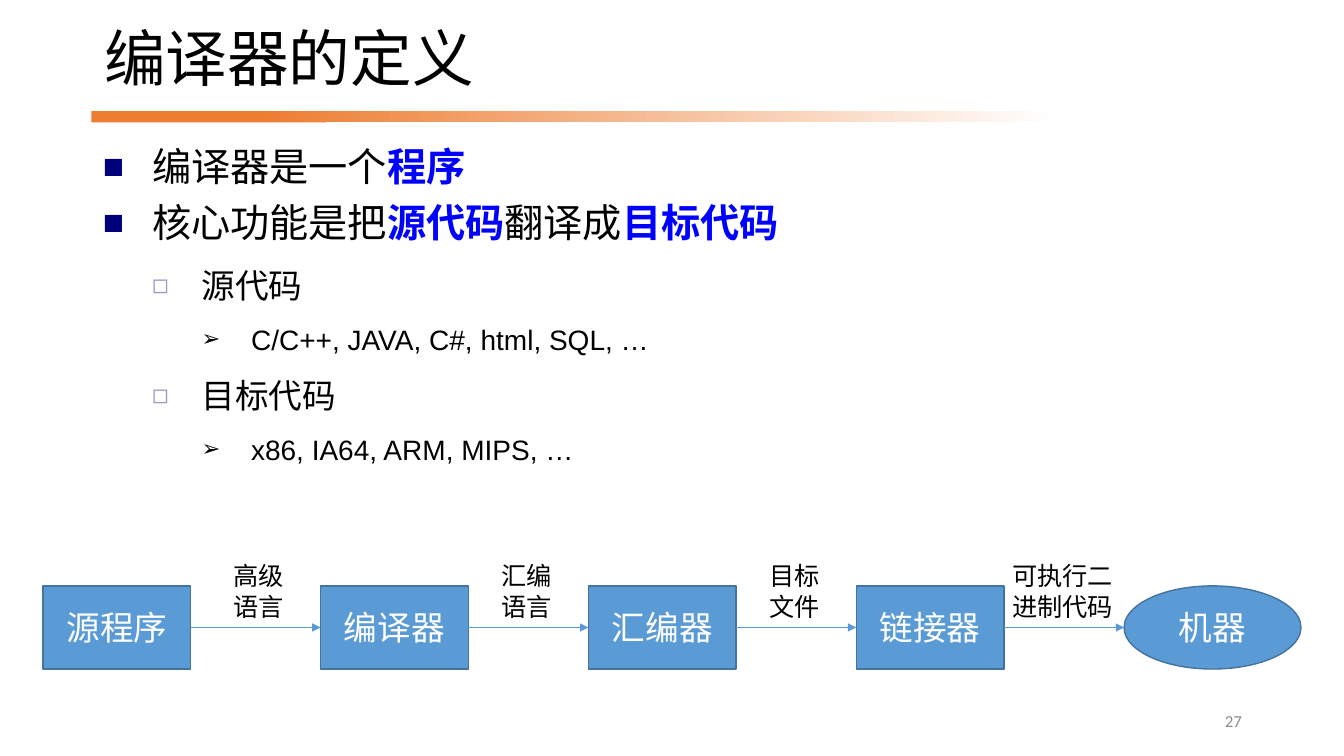
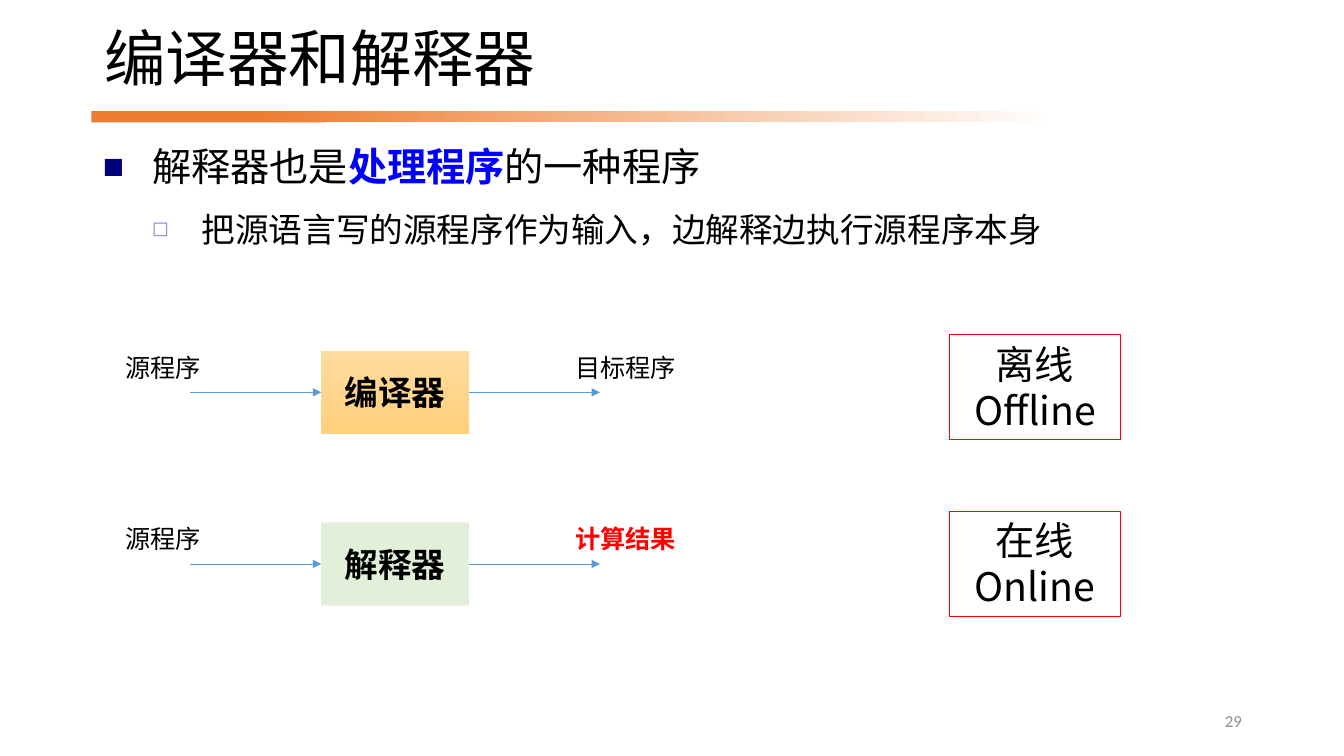
from dataclasses import dataclass

from lxml import etree
from pptx import Presentation
from pptx.dml.color import RGBColor
from pptx.enum.lang import MSO_LANGUAGE_ID
from pptx.enum.shapes import MSO_CONNECTOR, MSO_SHAPE
from pptx.enum.text import MSO_ANCHOR, MSO_AUTO_SIZE, PP_ALIGN
from pptx.oxml.ns import qn
from pptx.util import Inches, Pt

RECT, OVAL = MSO_SHAPE.RECTANGLE, MSO_SHAPE.OVAL
STRAIGHT = MSO_CONNECTOR.STRAIGHT
LEFT, MID, RIGHT = PP_ALIGN.LEFT, PP_ALIGN.CENTER, PP_ALIGN.RIGHT
TOP, CENTRE = MSO_ANCHOR.TOP, MSO_ANCHOR.MIDDLE
FIXED = MSO_AUTO_SIZE.NONE
CHINESE = MSO_LANGUAGE_ID.SIMPLIFIED_CHINESE
WIDE, HIGH = Inches(13.33), Inches(7.5)


@dataclass(frozen=True)
class Theme:
    ink: str = "000000"
    paper: str = "FFFFFF"
    accent: str = "ED7D31"
    strong: str = "0000FF"
    alert: str = "FF0000"
    muted: str = "8C8C8C"
    node: str = "5B9BD5"
    edge: str = "43739E"
    amber: tuple = ("FFDB9E", "FFD07C")
    green: str = "E2F0D9"
    head: int = 44
    large: int = 28
    text: int = 24
    label: int = 18
    small: int = 12
    main: str = "Arial"
    plain: str = "Calibri"
    hans: str = "Noto Sans CJK SC"


@dataclass(frozen=True)
class Level:
    size: int
    line: float
    before: int
    mark: str
    share: int
    color: str


@dataclass(frozen=True)
class Box:
    x: float
    y: float
    w: float
    h: float

    def inner(self, x, y, w, h):
        return Box(self.x + x, self.y + y, w, h)

    def frame(self):
        return (int(WIDE * self.x / 100), int(HIGH * self.y / 100),
                int(WIDE * self.w / 100), int(HIGH * self.h / 100))


T = Theme()
LEVELS = (
    Level(T.large, 0.9, 10, "■", 90, "00007D"),
    Level(T.text, 1.3, 5, "◻", 80, "9999CC"),
    Level(20, 1.3, 5, "➢", 80, T.ink),
)
STEP = Inches(0.49)


def rgb(code):
    return RGBColor.from_string(code)


def style(font, size, name, color, bold=False):
    font.size, font.name, font.bold = Pt(size), name, bold
    font.color.rgb = rgb(color)
    font.language_id = CHINESE


def write(shape, text, size, name, color, align=LEFT, anchor=TOP, bold=False, line=None):
    frame = shape.text_frame
    frame.word_wrap, frame.auto_size = True, FIXED
    frame.vertical_anchor = anchor
    frame.text = text
    for para in frame.paragraphs:
        para.alignment = align
        para.line_spacing = line
        style(para.font, size, name, color, bold)


def note(slide, box, text, size, name, color, **kind):
    write(slide.shapes.add_textbox(*box.frame()), text, size, name, color, **kind)


def block(slide, box, fill, edge=None, width=1, form=RECT):
    shape = slide.shapes.add_shape(form, *box.frame())
    shape.shadow.inherit = False
    paint(shape.fill, fill)
    if edge:
        shape.line.color.rgb = rgb(edge)
        shape.line.width = Pt(width)
    else:
        shape.line.fill.background()
    return shape


def paint(fill, color, angle=270):
    if isinstance(color, str):
        fill.solid()
        fill.fore_color.rgb = rgb(color)
        return
    fill.gradient()
    fill.gradient_angle = angle
    for stop, code in zip(fill.gradient_stops, color):
        stop.color.rgb = rgb(code)


def arrow(slide, box):
    x, y, w, _ = box.frame()
    link = slide.shapes.add_connector(STRAIGHT, x, y, x + w, y)
    link.line.color.rgb = rgb(T.node)
    link.line.width = Pt(0.5)
    props = link._element.spPr
    etree.SubElement(props.find(qn("a:ln")), qn("a:tailEnd"), type="triangle")
    etree.SubElement(props, qn("a:effectLst"))


def place(shape, box):
    shape.left, shape.top, shape.width, shape.height = box.frame()


def bullet(para, rank):
    level = LEVELS[rank]
    para.level = rank
    props = para._p.get_or_add_pPr()
    props.set("marL", str(STEP * (rank + 1)))
    props.set("indent", str(-STEP))
    tint = etree.SubElement(props, qn("a:buClr"))
    etree.SubElement(tint, qn("a:srgbClr"), val=level.color)
    etree.SubElement(props, qn("a:buSzPct"), val=str(level.share * 1000))
    etree.SubElement(props, qn("a:buFont"), typeface=T.main)
    etree.SubElement(props, qn("a:buChar"), char=level.mark)
    para.line_spacing = level.line
    style(para.font, level.size, T.main, T.ink)
    return level


def points(shape, box, items):
    place(shape, box)
    frame = shape.text_frame
    frame.auto_size, frame.vertical_anchor = FIXED, TOP
    for index, (rank, text) in enumerate(items):
        para = frame.add_paragraph() if index else frame.paragraphs[0]
        level = bullet(para, rank)
        para.space_before = Pt(level.before if index else 0)
        for turn, piece in enumerate(text.split("*")):
            if not piece:
                continue
            run = para.add_run()
            run.text = piece
            if turn % 2:
                run.font.bold = True
                run.font.color.rgb = rgb(T.strong)


def band(slide, box):
    block(slide, box.inner(0, 0, 17.5, box.h), T.accent)
    fade = block(slide, box.inner(12.45, 0, box.w - 12.45, box.h), T.accent)
    paint(fade.fill, (T.accent, T.paper), 0)


def page(deck, title, number, items):
    slide = deck.slides.add_slide(deck.slide_layouts[1])
    band(slide, Box(6.8, 14.7, 71.85, 1.5))
    head = slide.shapes.title
    place(head, Box(7, 2.25, 83.55, 11.85))
    write(head, title, T.head, T.main, T.ink, anchor=CENTRE, line=0.9)
    note(slide, Box(70.65, 92.7, 22.5, 5.3), str(number), T.small, T.plain,
         T.muted, align=RIGHT, anchor=CENTRE)
    points(slide.placeholders[1], Box(6.9, 18.8, 86.25, 71.6), items)
    return slide


def flow(slide, box, steps, links):
    lead, pitch, wide, tall, drop = 20.65, 19.93, 11, 11, 4
    last = len(steps) - 1
    spots = [0] + [lead + pitch * index for index in range(last)]
    for index, (x, text) in enumerate(zip(spots, steps)):
        end = index == last
        cell = box.inner(x, drop, box.w - x if end else wide, tall)
        shape = block(slide, cell, T.node, T.edge, form=OVAL if end else RECT)
        write(shape, text, T.text, T.plain, T.paper, MID, CENTRE)
    for x, goal, text in zip(spots, spots[1:], links):
        arrow(slide, box.inner(x + wide, drop + tall / 2, goal - x - wide, 0))
        span = 5.4 if len(text) == 4 else 9.15
        note(slide, box.inner(goal - 4.5 - span / 2, 0, span, 9.4), text,
             T.label, T.plain, T.ink)


def process(slide, box, name, fill, result, color, bold):
    write(block(slide, box.inner(15.3, 0.5, 11, 11), fill), name, T.text, T.hans,
          T.ink, MID, CENTRE, True)
    for x in (5.55, 26.3):
        arrow(slide, box.inner(x, 6, 9.75, 0))
    for x, text, tint, heavy in ((0, "源程序", T.ink, False),
                                 (33.45, result, color, bold)):
        note(slide, box.inner(x, 0, 9.15, 5.3), text, T.label, T.hans, tint,
             anchor=CENTRE, bold=heavy)


def badge(slide, box, text):
    shape = block(slide, box, T.paper, T.alert, 0.75)
    write(shape, text, T.large, T.hans, T.ink, MID, CENTRE, line=Pt(33))


def define(deck):
    slide = page(deck, "编译器的定义", 27, (
        (0, "编译器是一个*程序*"),
        (0, "核心功能是把*源代码*翻译成*目标代码*"),
        (1, "源代码"),
        (2, "C/C++, JAVA, C#, html, SQL, …"),
        (1, "目标代码"),
        (2, "x86, IA64, ARM, MIPS, …"),
    ))
    flow(slide, Box(3.2, 73.5, 93.6, 15),
         ("源程序", "编译器", "汇编器", "链接器", "机器"),
         ("高级语言", "汇编语言", "目标文件", "可执行二进制代码"))


def compare(deck):
    slide = page(deck, "编译器和解释器", 29, (
        (0, "解释器也是*处理程序*的一种程序"),
        (1, "把源语言写的源程序作为输入，边解释边执行源程序本身"),
    ))
    rows = (
        ("编译器", T.amber, "目标程序", T.ink, False, "离线 Offline"),
        ("解释器", T.green, "计算结果", T.alert, True, "在线\nOnline"),
    )
    for index, (*parts, mode) in enumerate(rows):
        process(slide, Box(8.6, 45.9 + 22.7 * index, 42.6, 11.5), *parts)
        badge(slide, Box(70.65, 44.3 + 23.3 * index, 12.7, 13.9), mode)


def main():
    deck = Presentation()
    deck.slide_width, deck.slide_height = WIDE, HIGH
    define(deck)
    compare(deck)
    deck.save("out.pptx")


if __name__ == "__main__":
    main()
